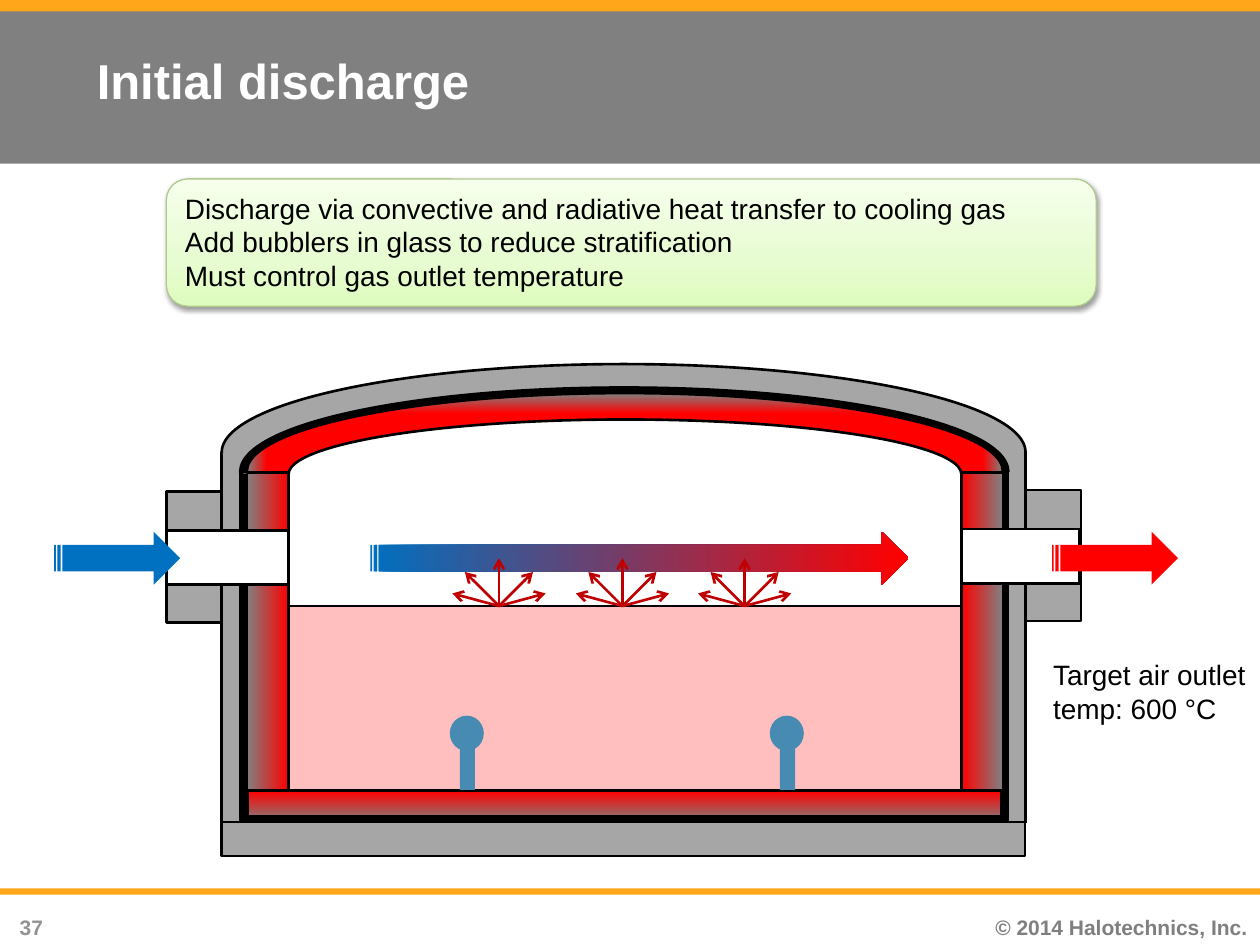
from lxml import etree
from pptx import Presentation
from pptx import util as u
from pptx.dml.color import RGBColor
from pptx.enum import shapes, text
from pptx.oxml import parse_xml
from pptx.oxml.ns import nsdecls, qn

SCALE = 9144
KIND = shapes.MSO_SHAPE
BLACK, WHITE, GREY, STEEL = "000000", "FFFFFF", "808080", "A6A6A6"
RED, BLUE, GOLD, TEAL, RUST = "FF0000", "0070C0", "FFA61B", "478BB2", "C00000"


def px(n):
    """Turn px into EMU, at 100 px to the inch."""
    return u.Emu(round(n * SCALE))


def hue(code):
    """Turn a hex string into a colour."""
    return RGBColor.from_string(code)


def blend(shape, stops, angle=None):
    """Fill a shape with a linear gradient, or one from its centre without an angle."""
    marks = "".join(
        f'<a:gs pos="{at * 1000}"><a:srgbClr val="{code}"/></a:gs>' for at, code in stops)
    if angle is None:
        way = ('<a:path path="shape"><a:fillToRect l="50000" t="50000" '
               'r="50000" b="50000"/></a:path>')
    else:
        way = f'<a:lin ang="{angle * 60000}" scaled="0"/>'
    shape.fill.background()
    props = shape._element.spPr
    props.replace(props.find(qn("a:noFill")), parse_xml(
        f'<a:gradFill {nsdecls("a")} rotWithShape="1"><a:gsLst>{marks}</a:gsLst>{way}</a:gradFill>'))


def draw(into, kind, box, fill, line=None, width=1.5, angle=None, turn=0):
    """Add a preset shape with a plain or a gradient fill."""
    shape = into.add_shape(kind, *map(px, box))
    shape.shadow.inherit = False
    shape.rotation = turn
    if isinstance(fill, str):
        shape.fill.solid()
        shape.fill.fore_color.rgb = hue(fill)
    else:
        blend(shape, fill, angle)
    if line:
        shape.line.color.rgb = hue(line)
        shape.line.width = u.Pt(width)
    else:
        shape.line.fill.background()
    return shape


def join(into, start, end, code=BLACK, width=1.5, head=False):
    """Add a straight line, with an open arrowhead at its end if asked."""
    line = into.add_connector(shapes.MSO_CONNECTOR.STRAIGHT, *map(px, (*start, *end)))
    line.line.color.rgb = hue(code)
    line.line.width = u.Pt(width)
    if head:
        etree.SubElement(line.line._get_or_add_ln(), qn("a:tailEnd"), type="arrow")
    etree.SubElement(line._element.spPr, qn("a:effectLst"))


def write(shape, lines, size, code=BLACK, bold=False,
          align=text.PP_ALIGN.LEFT, anchor=text.MSO_ANCHOR.TOP):
    """Write lines into a shape, one paragraph each."""
    frame = shape.text_frame
    frame.word_wrap = True
    frame.vertical_anchor = anchor
    for i, words in enumerate(lines):
        para = frame.add_paragraph() if i else frame.paragraphs[0]
        para.alignment = align
        run = para.add_run()
        run.text = words
        font = run.font
        font.name, font.size, font.bold = "Arial", u.Pt(size), bold
        font.color.rgb = hue(code)


def label(into, box, *args, **style):
    """Add a text box."""
    write(into.add_textbox(*map(px, box)), *args, **style)


def frame(into, wide, high):
    """Place the bands, title and footer of the slide."""
    right = text.PP_ALIGN.RIGHT
    for top, tall, code in ((0, 130, GREY), (high - 45, 5, GOLD), (0, 9, GOLD)):
        draw(into, KIND.RECTANGLE, (0, top, wide, tall), code)
    label(into, (wide - 249, high - 29, 249, 29), ["© 2014 Halotechnics, Inc."],
          12, "7F7F7F", True, right)
    label(into, (0, high - 29, 44, 26), ["37"], 12, "939393", True, right)
    label(into, (67, -2, 900, 131), ["Initial discharge"], 28, WHITE, True,
          anchor=text.MSO_ANCHOR.MIDDLE)


def note(into, box):
    """Place the green panel of key points."""
    panel = draw(into, KIND.ROUNDED_RECTANGLE, box,
                 ((0, "DEFCBE"), (35, "E7FCD1"), (100, "F6FFEC")), "AFC98F", 0.75, 270)
    panel._element.spPr.find(qn("a:effectLst")).append(parse_xml(
        f'<a:outerShdw {nsdecls("a")} blurRad="{u.Pt(3.1)}" dist="{u.Pt(1.6)}" dir="5400000" '
        'rotWithShape="0"><a:srgbClr val="000000"><a:alpha val="38000"/></a:srgbClr></a:outerShdw>'))
    write(panel, ["Discharge via convective and radiative heat transfer to cooling gas",
                  "Add bubblers in glass to reduce stratification",
                  "Must control gas outlet temperature"], 16)


def arch(into, box, fill, width=1.5):
    """Add the upper half of an ellipse."""
    arc = draw(into, KIND.ARC, box, fill, BLACK, width)
    arc.adjustments[0], arc.adjustments[1] = 107.9, 0


def tank(into, x, y, wide):
    """Place the lined tank with its roof, melt and bubblers."""
    rect = KIND.RECTANGLE
    heat = ((0, RED), (100, GREY))
    cool = ((0, GREY), (100, RED))
    base = y + 364
    for left in (x, x + wide - 27):
        draw(into, rect, (left, y + 70, 27, 293), STEEL, STEEL)
    join(into, (x, base), (x, y + 70))
    join(into, (x + 17, base), (x + 17, y + 85), width=5)
    for left, top, thick, length, fill in ((x + 308, y + 51, 25, 600, heat),
                                           (x + 305, y + 58, 27, wide, STEEL)):
        draw(into, rect, (left, top, thick, length), fill, BLACK, angle=0, turn=90)
    arch(into, (x, y, wide, 140), STEEL)
    arch(into, (x + 17, y + 21, 605, 130), WHITE, 5)
    join(into, (x + 621, base), (x + 621, y + 84), width=5)
    arch(into, (x + 20, y + 23, 600, 124), ((74, RED), (100, GREY)))
    arch(into, (x + 53, y + 44, 534, 87), WHITE)
    for left, fill in ((x + 20, cool), (x + 587, heat)):
        draw(into, rect, (left, y + 86, 33, 252), fill, BLACK, angle=0)
    melt = draw(into, rect, (x + 53, y + 192, 534, 146), RED, BLACK)
    tint = melt._element.spPr.find(qn("a:solidFill"))[0]
    etree.SubElement(tint, qn("a:alpha"), val="25000")
    join(into, (x + wide, base), (x + wide, y + 70))
    for left in (x + 181, x + 435):
        draw(into, rect, (left + 8, y + 300, 12, 38), TEAL)
        draw(into, KIND.OVAL, (left, y + 279, 27, 28), TEAL)
    join(into, (x + 623, y + 361), (x + 19, y + 361), width=5)


def port(into, x, y, bore, long):
    """Place a flange and the open bore through it."""
    draw(into, KIND.RECTANGLE, (x, y, 44, 104), STEEL, BLACK)
    draw(into, KIND.RECTANGLE, (bore, y + 31, long, 43), WHITE, BLACK)


def flow(into, x, y, long, fill):
    """Place one gas flow arrow."""
    draw(into, KIND.STRIPED_RIGHT_ARROW, (x, y, long, 42), fill, angle=0)


def glow(into, x, y):
    """Place a fan of heat rays rising from one point."""
    for across, up in ((0, 38), (-27, 27), (27, 27), (-37, 10), (37, 10)):
        join(into, (x, y), (x + across, y - up), RUST, head=True)


def main():
    """Build the slide and save it."""
    deck = Presentation()
    wide, high = 1000, 750
    deck.slide_width, deck.slide_height = px(wide), px(high)
    into = deck.slides.add_slide(deck.slide_layouts[6]).shapes
    frame(into, wide, high)
    note(into, (132, 142, 738, 101))
    plant = into.add_group_shape().shapes
    tank(plant, 176, 289, 638)
    port(plant, 814, 389, 763, 94)
    port(plant, 132, 390, 132, 97)
    for x, long, fill in ((43, 100, BLUE), (835, 100, RED),
                          (294, 427, ((0, BLUE), (100, RED)))):
        flow(into, x, 422, long, fill)
    for x in (396, 494, 591):
        glow(into.add_group_shape().shapes, x, 481)
    label(into, (826, 517, 174, 64), ["Target air outlet temp: 600 °C"], 16)
    deck.save("out.pptx")


if __name__ == "__main__":
    main()
